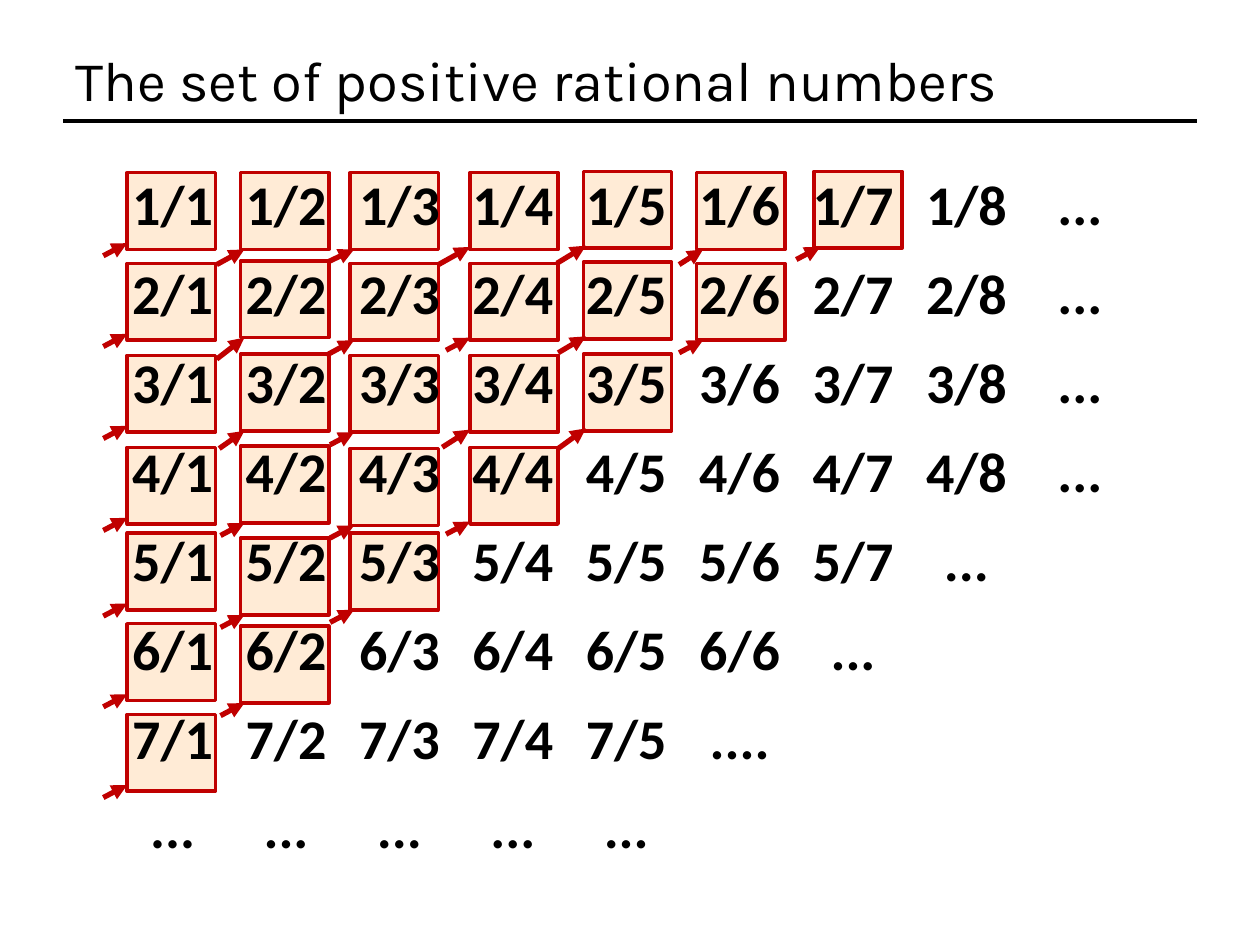
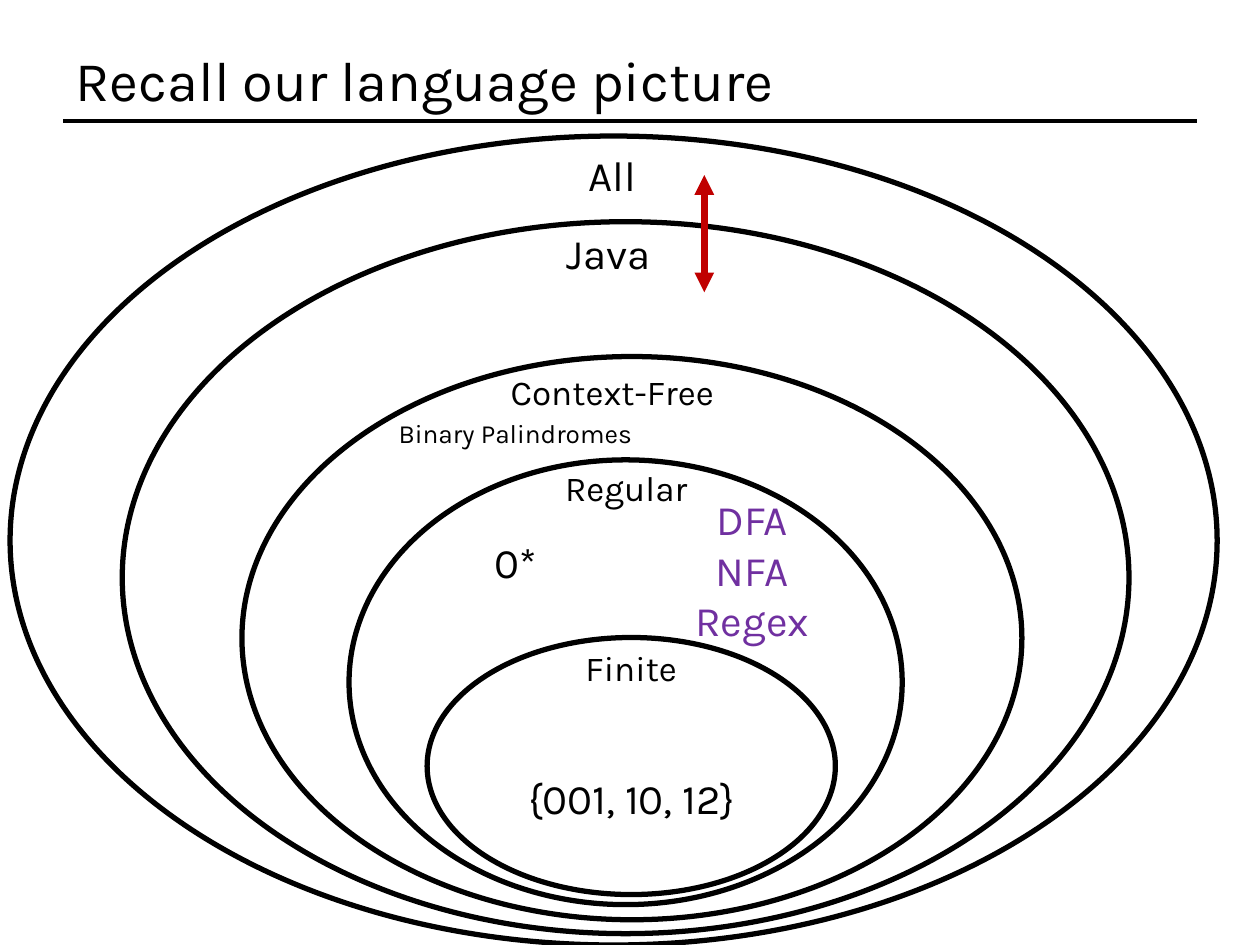
from dataclasses import dataclass

from lxml.etree import SubElement
from pptx import Presentation
from pptx.dml.color import RGBColor
from pptx.enum.shapes import MSO_CONNECTOR, MSO_SHAPE
from pptx.enum.text import MSO_ANCHOR, MSO_AUTO_SIZE, PP_ALIGN
from pptx.oxml.ns import qn
from pptx.util import Emu, Pt

COLORS = {"ink": "000000", "red": "C00000", "peach": "FFEBD6", "purple": "7030A0"}
TITLE_FONT = "Karla"
TABLE_FONT = "Calibri"
BOX_W, BOX_H = 70, 61
TABLE_COLS, TABLE_ROWS = 10, 8


def px(n: int) -> Emu:
    """Convert px to EMU, at 100 px to the inch."""
    return Emu(n * 9144)


def rgb(name: str) -> RGBColor:
    return RGBColor.from_string(COLORS[name])


@dataclass(frozen=True)
class Step:
    """One visited fraction: top of its box, then width and height of its arrow."""
    top: int
    run: int = 19
    rise: int = 10


@dataclass(frozen=True)
class Column:
    """Boxes of one denominator; tip is the arrow end from a box's lower left corner."""
    left: int
    tip: tuple[int, int]
    steps: tuple[Step, ...]


@dataclass(frozen=True)
class Oval:
    left: int
    top: int
    width: int
    height: int


@dataclass(frozen=True)
class Label:
    left: int
    top: int
    width: int
    height: int
    lines: tuple[str, ...]
    size: int = 24
    color: str = "ink"


COLUMNS = (
    Column(101, (0, -5), tuple(Step(t) for t in (137, 209, 282, 355, 423, 495, 567))),
    Column(191, (3, 0), (Step(137, 22, 12), Step(207, 22, 17), Step(281, 20, 14),
                         Step(354), Step(427), Step(497))),
    Column(278, (3, 0), (Step(137, 21), Step(209, 22, 12), Step(282), Step(356),
                         Step(423))),
    Column(373, (0, -2), (Step(137, 25, 14), Step(209), Step(282, 22, 14), Step(355))),
    Column(463, (2, -2), (Step(136, 23, 14), Step(208, 22, 13), Step(281, 22, 16))),
    Column(553, (5, 0), (Step(137, 19, 12), Step(209))),
    Column(646, (5, -1), (Step(136),)),
)

FRACTIONS_PER_ROW = (8, 8, 8, 8, 7, 6, 5)
LAST_ROW_DOTS = 5

OVALS = (
    Oval(8, 108, 958, 642),
    Oval(97, 176, 799, 565),
    Oval(192, 283, 619, 447),
    Oval(277, 365, 439, 353),
    Oval(339, 506, 324, 204),
)

LABELS = (
    Label(372, 114, 228, 50, ("All",)),
    Label(369, 176, 228, 50, ("Java",)),
    Label(304, 289, 364, 44, ("Context-Free",), 20),
    Label(268, 326, 282, 35, ("Binary Palindromes",), 15),
    Label(315, 365, 364, 44, ("Regular",), 20),
    Label(332, 421, 154, 50, ("0*",)),
    Label(520, 387, 154, 131, ("DFA", "NFA", "Regex"), color="purple"),
    Label(319, 508, 364, 44, ("Finite",), 20),
    Label(385, 608, 233, 50, ("{001, 10, 12}",)),
)


def add_run(p, text: str, font: str, size: int, color: str = "ink", bold: bool = False):
    r = p.add_run()
    r.text = text
    r.font.name = font
    r.font.size = Pt(size)
    r.font.bold = bold
    r.font.color.rgb = rgb(color)


def add_line(s, start: tuple[int, int], end: tuple[int, int], color: str,
             width: float, head: bool = False, tail: bool = False):
    c = s.shapes.add_connector(MSO_CONNECTOR.STRAIGHT, px(start[0]), px(start[1]),
                               px(end[0]), px(end[1]))
    c.line.color.rgb = rgb(color)
    c.line.width = Pt(width)
    sp_pr = c._element.spPr
    ln = sp_pr.find(qn("a:ln"))
    for tag, wanted in (("a:headEnd", head), ("a:tailEnd", tail)):
        if wanted:
            SubElement(ln, qn(tag), type="triangle")
    SubElement(sp_pr, qn("a:effectLst"))


def add_outlined(s, kind: MSO_SHAPE, at: tuple[int, int, int, int], line: str,
                 width: float, fill: str | None = None):
    sp = s.shapes.add_shape(kind, *map(px, at))
    sp.shadow.inherit = False
    if fill:
        sp.fill.solid()
        sp.fill.fore_color.rgb = rgb(fill)
    else:
        sp.fill.background()
    sp.line.color.rgb = rgb(line)
    sp.line.width = Pt(width)


def add_label(s, label: Label):
    sp = s.shapes.add_textbox(px(label.left), px(label.top), px(label.width),
                              px(label.height))
    tf = sp.text_frame
    tf.word_wrap = True
    tf.auto_size = MSO_AUTO_SIZE.SHAPE_TO_FIT_TEXT
    for i, line in enumerate(label.lines):
        p = tf.add_paragraph() if i else tf.paragraphs[0]
        p.alignment = PP_ALIGN.CENTER
        add_run(p, line, TITLE_FONT, label.size, label.color)


def add_titled_slide(prs, title: str):
    """Add a slide with the shared title style and the rule below it."""
    s = prs.slides.add_slide(prs.slide_layouts[5])
    add_line(s, (50, 96), (950, 96), "ink", 2)
    sp = s.shapes.title
    sp.left, sp.top, sp.width, sp.height = map(px, (50, 30, 900, 66))
    tf = sp.text_frame
    tf.auto_size = MSO_AUTO_SIZE.NONE
    tf.vertical_anchor = MSO_ANCHOR.MIDDLE
    p = tf.paragraphs[0]
    p.alignment = PP_ALIGN.LEFT
    add_run(p, title, TITLE_FONT, 32)
    return s


def clear_cell(cell):
    """Remove the cell's borders and fill."""
    tc_pr = cell._tc.get_or_add_tcPr()
    for side in ("a:lnL", "a:lnR", "a:lnT", "a:lnB"):
        SubElement(SubElement(tc_pr, qn(side), w="0"), qn("a:noFill"))
    cell.fill.background()


def fraction_rows() -> list[list[str]]:
    rows = [[f"{n}/{d}" for d in range(1, count + 1)] + ["..."]
            for n, count in enumerate(FRACTIONS_PER_ROW, 1)]
    rows[-1][-1] = "...."
    return rows + [["..."] * LAST_ROW_DOTS]


def add_fraction_table(s):
    frame = s.shapes.add_table(TABLE_ROWS, TABLE_COLS, px(92), px(132), px(900), px(565))
    table = frame.table
    table.first_row = False
    table.horz_banding = False
    for cell in table.iter_cells():
        clear_cell(cell)
    for i, texts in enumerate(fraction_rows()):
        for j, text in enumerate(texts):
            p = table.cell(i, j).text_frame.paragraphs[0]
            p.alignment = PP_ALIGN.CENTER
            add_run(p, text, TABLE_FONT, 32, bold=True)


def build_rationals(prs):
    s = add_titled_slide(prs, "The set of positive rational numbers")
    for col in COLUMNS:
        for step in col.steps:
            add_outlined(s, MSO_SHAPE.RECTANGLE, (col.left, step.top, BOX_W, BOX_H),
                         "red", 2, "peach")
    for col in COLUMNS:
        for step in col.steps:
            x, y = col.left + col.tip[0], step.top + BOX_H + col.tip[1]
            add_line(s, (x - step.run, y + step.rise), (x, y), "red", 3, tail=True)
    add_fraction_table(s)


def build_languages(prs):
    s = add_titled_slide(prs, "Recall our language picture")
    for o in OVALS:
        add_outlined(s, MSO_SHAPE.OVAL, (o.left, o.top, o.width, o.height), "ink", 3)
    for label in LABELS:
        add_label(s, label)
    add_line(s, (559, 139), (559, 232), "red", 3.75, head=True, tail=True)


def main():
    prs = Presentation()
    prs.slide_width, prs.slide_height = px(1000), px(750)
    build_rationals(prs)
    build_languages(prs)
    prs.save("out.pptx")


if __name__ == "__main__":
    main()
